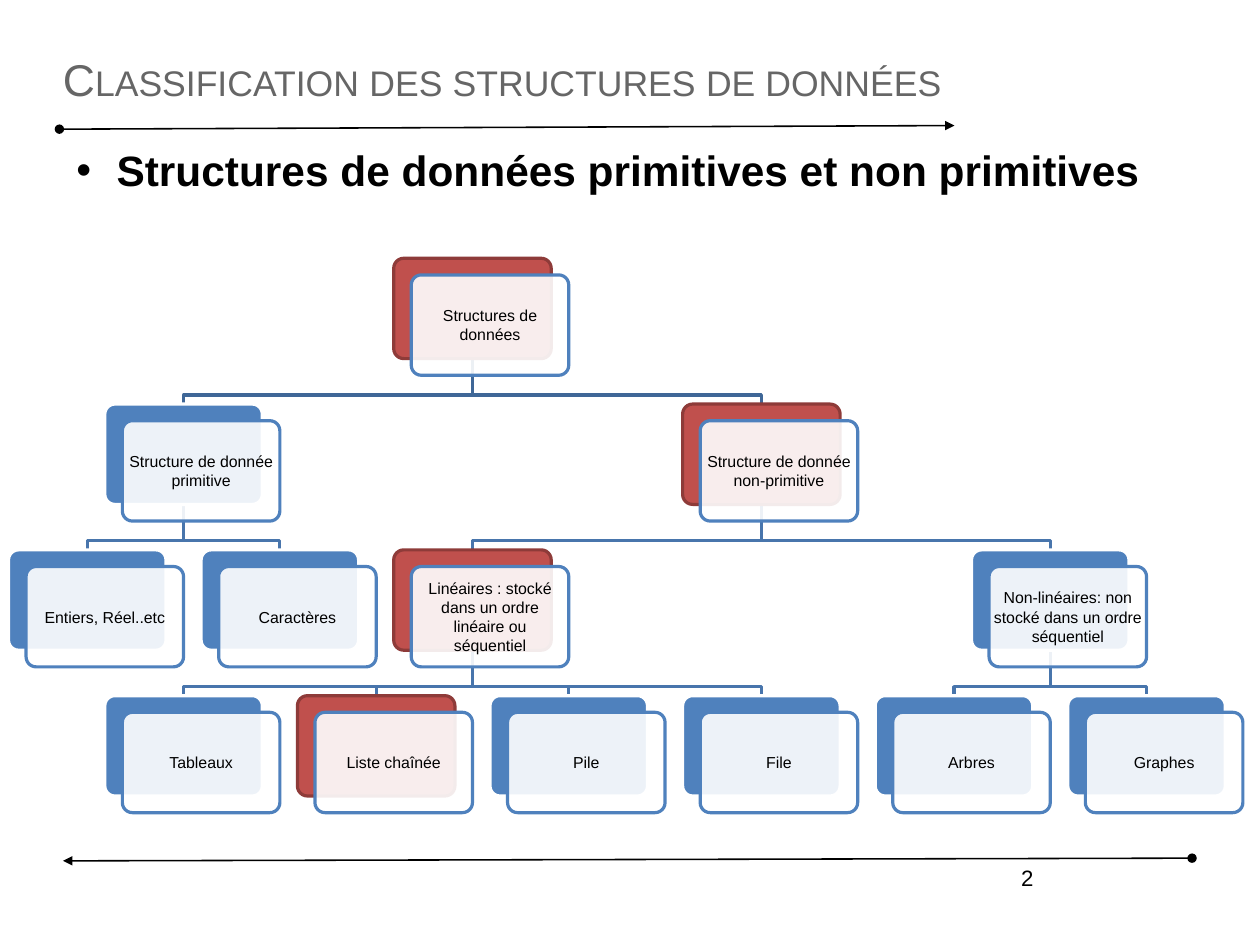
from lxml import etree
from pptx import Presentation
from pptx.dml.color import RGBColor
from pptx.enum import shapes, text
from pptx.oxml import ns
from pptx.util import Cm, Pt


def paint(color_format, hex_color):
    color_format.rgb = RGBColor.from_string(hex_color)


def write(shape, content, size, color="000000", bold=False, align=text.PP_ALIGN.LEFT,
          anchor=text.MSO_ANCHOR.TOP, inset_x=0, inset_y=0):
    frame = shape.text_frame
    frame.word_wrap = True
    frame.auto_size = text.MSO_AUTO_SIZE.NONE
    frame.vertical_anchor = anchor
    frame.margin_left = frame.margin_right = Cm(inset_x)
    frame.margin_top = frame.margin_bottom = Cm(inset_y)
    paragraph = frame.paragraphs[0]
    paragraph.alignment = align
    run = paragraph.add_run()
    run.text = content
    run.font.name = "Arial"
    run.font.size = Pt(size)
    run.font.bold = bold
    paint(run.font.color, color)
    return paragraph


prs = Presentation()
prs.slide_width, prs.slide_height = Cm(28), Cm(21)
slide = prs.slides.add_slide(prs.slide_layouts[5])

# Title in small capitals
title = slide.shapes.title
title.left, title.top, title.width, title.height = Cm(1.4), Cm(0.84), Cm(25.2), Cm(1.83)
heading = write(title, "Classification des structures de données", 28, "666666",
                anchor=text.MSO_ANCHOR.MIDDLE)
heading.runs[0].font._element.set("cap", "small")

# Rules with a dot at the start and an arrow at the end
for x1, y1, x2, y2 in [(1.32, 2.87, 21.21, 2.79), (26.49, 19.07, 1.4, 19.13)]:
    rule = slide.shapes.add_connector(shapes.MSO_CONNECTOR.STRAIGHT,
                                      Cm(x1), Cm(y1), Cm(x2), Cm(y2))
    rule.line.width = Pt(1)
    paint(rule.line.color, "000000")
    rule_line = rule.line._get_or_add_ln()
    etree.SubElement(rule_line, ns.qn("a:headEnd"), type="oval")
    etree.SubElement(rule_line, ns.qn("a:tailEnd"), type="triangle")
    etree.SubElement(rule._element.spPr, ns.qn("a:effectLst"))

# Page number
page_number = slide.shapes.add_textbox(Cm(16.69), Cm(19.07), Cm(6.53), Cm(1.45))
write(page_number, "2", 14, align=text.PP_ALIGN.RIGHT, inset_x=0.25, inset_y=0.13)

# Bulleted subject
subject = slide.shapes.add_textbox(Cm(1.4), Cm(3.2), Cm(25.17), Cm(5.56))
subject.fill.solid()
paint(subject.fill.fore_color, "FFFFFF")
subject_line = write(subject, "Structures de données primitives et non primitives", 26.7, bold=True)
subject_line.space_before = Pt(9.4)
subject_format = subject_line._p.get_or_add_pPr()
subject_format.set("marL", str(Cm(1.19)))
subject_format.set("indent", str(Cm(-0.89)))
etree.SubElement(subject_format, ns.qn("a:buFont"), typeface="Arial")
etree.SubElement(subject_format, ns.qn("a:buChar"), char="•")

# Tree: label, column, row, column of the parent, on the highlighted branch
tree = [
    ("Structures de données", 4, 0, None, True),
    ("Structure de donnée primitive", 1, 1, 4, False),
    ("Entiers, Réel..etc", 0, 2, 1, False),
    ("Caractères", 2, 2, 1, False),
    ("Structure de donnée non-primitive", 7, 1, 4, True),
    ("Linéaires : stocké dans un ordre linéaire ou séquentiel", 4, 2, 7, True),
    ("Tableaux", 1, 3, 4, False),
    ("Liste chaînée", 3, 3, 4, True),
    ("Pile", 5, 3, 4, False),
    ("File", 7, 3, 4, False),
    ("Non-linéaires: non stocké dans un ordre séquentiel", 10, 2, 7, False),
    ("Arbres", 9, 3, 10, False),
    ("Graphes", 11, 3, 10, False),
]
first_center, column_step = 1.94, 2.14
first_top, row_step = 5.74, 3.24
card_width, card_height = 3.5, 2.23
front_dx, front_dy = 0.39, 0.37

# Elbow branches from parent to child
for label, column, row, parent_column, highlighted in tree:
    if parent_column is None:
        continue
    parent_x = Cm(first_center + column_step * parent_column)
    child_x = Cm(first_center + column_step * column)
    child_top = first_top + row_step * row
    parent_bottom = child_top - row_step + card_height
    bend_y = Cm(child_top - 0.2)
    outline = slide.shapes.build_freeform(parent_x, Cm(parent_bottom))
    outline.add_line_segments([(parent_x, bend_y), (child_x, bend_y), (child_x, Cm(child_top))],
                              close=False)
    branch = outline.convert_to_shape()
    branch.shadow.inherit = False
    branch.fill.background()
    branch.line.width = Pt(2)
    paint(branch.line.color, "3F6797" if row == 1 else "4875AC")

# Cards: a coloured back and a white front holding the label
for label, column, row, parent_column, highlighted in tree:
    left = first_center + column_step * column - card_width / 2
    top = first_top + row_step * row
    back_fill, back_line = ("C0504D", "8E3B39") if highlighted else ("4F81BD", "FFFFFF")
    for dx, dy, fill, line in [(0, 0, back_fill, back_line),
                               (front_dx, front_dy, "FFFFFF", "4F81BD")]:
        card = slide.shapes.add_shape(shapes.MSO_SHAPE.ROUNDED_RECTANGLE, Cm(left + dx),
                                      Cm(top + dy), Cm(card_width), Cm(card_height))
        card.adjustments[0] = 0.1
        card.shadow.inherit = False
        card.fill.solid()
        paint(card.fill.fore_color, fill)
        card.line.width = Pt(2)
        paint(card.line.color, line)
    # The last card drawn is the front one
    front_color = card._element.spPr.find(ns.qn("a:solidFill"))[0]
    etree.SubElement(front_color, ns.qn("a:alpha"), val="90000")
    write(card, label, 10, align=text.PP_ALIGN.CENTER, anchor=text.MSO_ANCHOR.MIDDLE,
          inset_x=0.04, inset_y=0.04)

prs.save("out.pptx")
